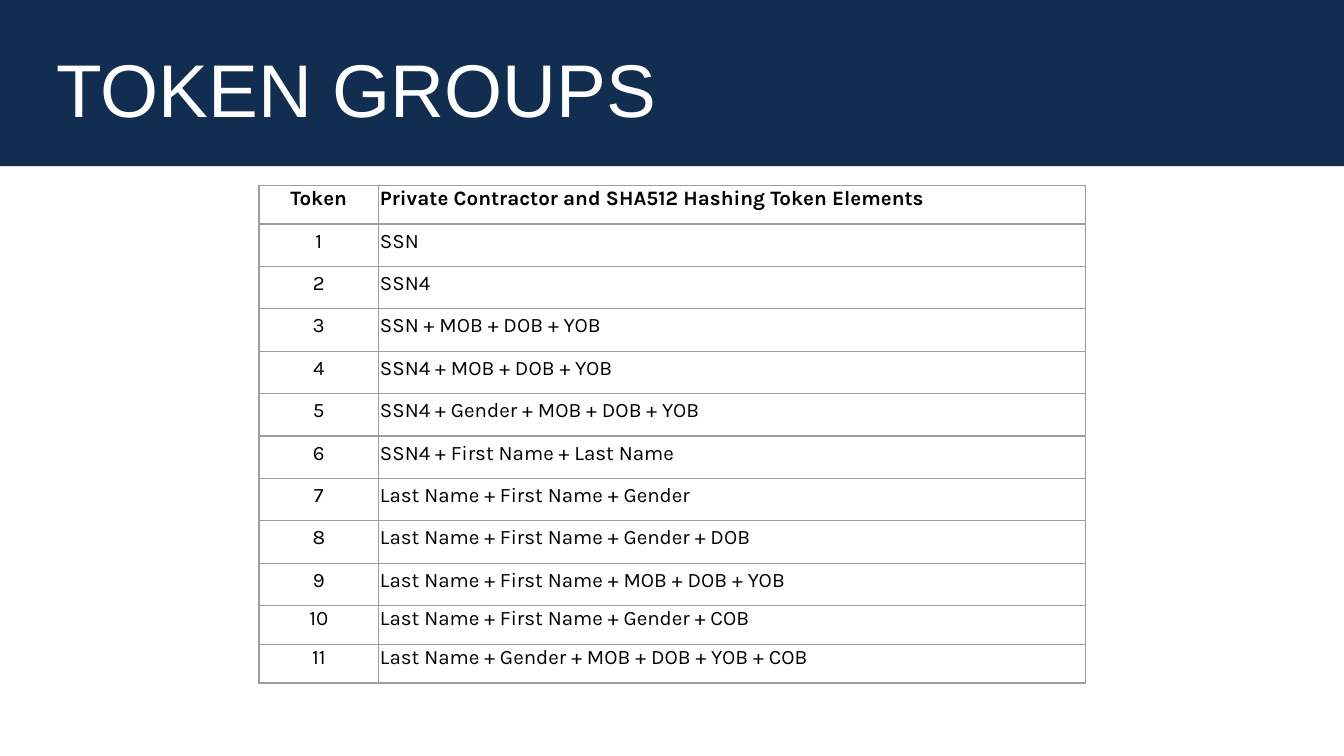
import pptx
import pptx.dml.color
import pptx.enum.shapes
import pptx.enum.text
import pptx.oxml
import pptx.oxml.ns
import pptx.util

COLORS = {"navy": "112E51", "white": "FFFFFF", "black": "000000", "border": "9E9E9E"}

TOKEN_ELEMENTS = [
    "SSN",
    "SSN4",
    "SSN + MOB + DOB + YOB",
    "SSN4 + MOB + DOB + YOB",
    "SSN4 + Gender + MOB + DOB + YOB",
    "SSN4 + First Name + Last Name",
    "Last Name + First Name + Gender",
    "Last Name + First Name + Gender + DOB",
    "Last Name + First Name + MOB + DOB + YOB",
    "Last Name + First Name + Gender + COB",
    "Last Name + Gender + MOB + DOB + YOB + COB",
]


class SlideBuilder:
    """Draws styled elements on one slide, with lengths in percent of its size."""

    def __init__(self, presentation):
        self.width = presentation.slide_width
        self.height = presentation.slide_height
        self.slide = presentation.slides.add_slide(presentation.slide_layouts[6])

    def across(self, percent):
        return pptx.util.Emu(round(self.width * percent / 100))

    def down(self, percent):
        return pptx.util.Emu(round(self.height * percent / 100))

    def place(self, left, top, width, height):
        return self.across(left), self.down(top), self.across(width), self.down(height)

    def color(self, name):
        return pptx.dml.color.RGBColor.from_string(COLORS[name])

    def format_runs(self, paragraph, font, size, color, bold=False):
        for run in paragraph.runs:
            run.font.name = font
            run.font.size = pptx.util.Pt(size)
            run.font.bold = bold
            run.font.color.rgb = self.color(color)

    def band(self, box, color):
        shape = self.slide.shapes.add_shape(
            pptx.enum.shapes.MSO_SHAPE.RECTANGLE, *self.place(*box))
        shape.shadow.inherit = False
        shape.fill.solid()
        shape.fill.fore_color.rgb = self.color(color)
        shape.line.fill.background()

    def title(self, box, text):
        text_frame = self.slide.shapes.add_textbox(*self.place(*box)).text_frame
        text_frame.word_wrap = True
        text_frame.vertical_anchor = pptx.enum.text.MSO_ANCHOR.MIDDLE
        text_frame.margin_top = text_frame.margin_bottom = self.down(1.78)
        text_frame.text = text
        self.format_runs(text_frame.paragraphs[0], "Arial", 40, "white")

    def borders(self, cell):
        properties = cell._tc.get_or_add_tcPr()
        for side in ("lnL", "lnR", "lnT", "lnB"):
            properties.append(pptx.oxml.parse_xml(
                f'<a:{side} {pptx.oxml.ns.nsdecls("a")} w="{pptx.util.Pt(0.75)}">'
                f'<a:solidFill><a:srgbClr val="{COLORS["border"]}"/></a:solidFill>'
                f'</a:{side}>'))

    def cell(self, cell, text, bold, centered, line_spacing):
        self.borders(cell)
        cell.fill.background()
        cell.vertical_anchor = pptx.enum.text.MSO_ANCHOR.BOTTOM
        cell.margin_left = cell.margin_right = self.across(0.1)
        cell.margin_top, cell.margin_bottom = self.down(0.11), self.down(1.75)
        cell.text_frame.text = text
        paragraph = cell.text_frame.paragraphs[0]
        if centered:
            paragraph.alignment = pptx.enum.text.PP_ALIGN.CENTER
        if line_spacing:
            paragraph.line_spacing = line_spacing
        self.format_runs(paragraph, "Karla", 11, "black", bold)

    def table(self, left, top, column_widths, row_heights, rows, spaced_rows):
        box = self.place(left, top, sum(column_widths), sum(row_heights))
        table = self.slide.shapes.add_table(len(rows), len(column_widths), *box).table
        table.first_row = table.horz_banding = False
        for column, width in zip(table.columns, column_widths):
            column.width = self.across(width)
        for row_index, (texts, height) in enumerate(zip(rows, row_heights)):
            table.rows[row_index].height = self.down(height)
            for column_index, text in enumerate(texts):
                centered = column_index == 0
                spacing = 1.15 if centered and row_index in spaced_rows else None
                self.cell(table.cell(row_index, column_index), text,
                          row_index == 0, centered, spacing)


def main():
    presentation = pptx.Presentation()
    presentation.slide_width = pptx.util.Inches(10)
    presentation.slide_height = pptx.util.Inches(10) * 9 // 16
    builder = SlideBuilder(presentation)
    builder.band((-0.1, 0, 100.2, 22), "navy")
    builder.title((3.23, 1.15, 73.3, 20.8), "TOKEN GROUPS")
    rows = [("Token", "Private Contractor and SHA512 Hashing Token Elements")]
    rows += [(str(number), text) for number, text in enumerate(TOKEN_ELEMENTS, 1)]
    spaced_rows = range(1, 10)
    row_heights = [4.45 if index in spaced_rows else 4.63 for index in range(len(rows))]
    builder.table(19.27, 24.52, (8.9, 52.6), row_heights, rows, spaced_rows)
    presentation.save("out.pptx")


if __name__ == "__main__":
    main()
